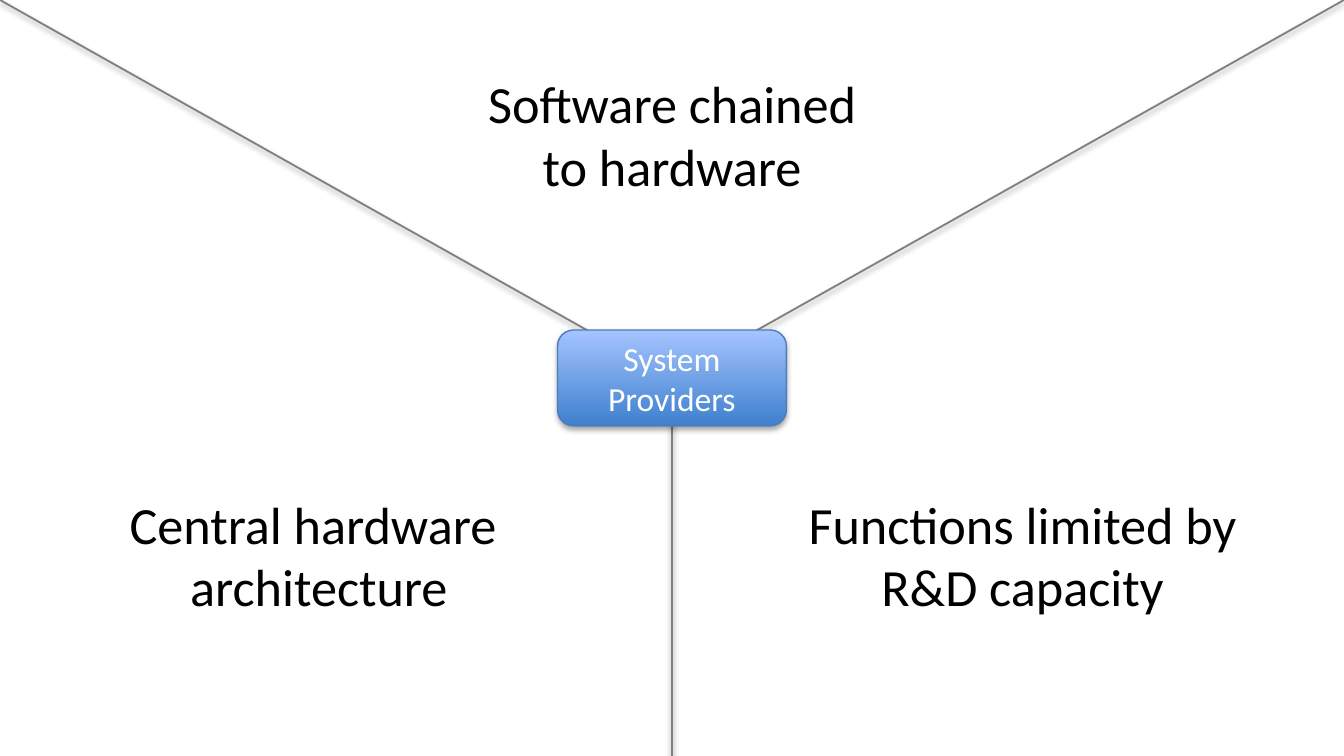
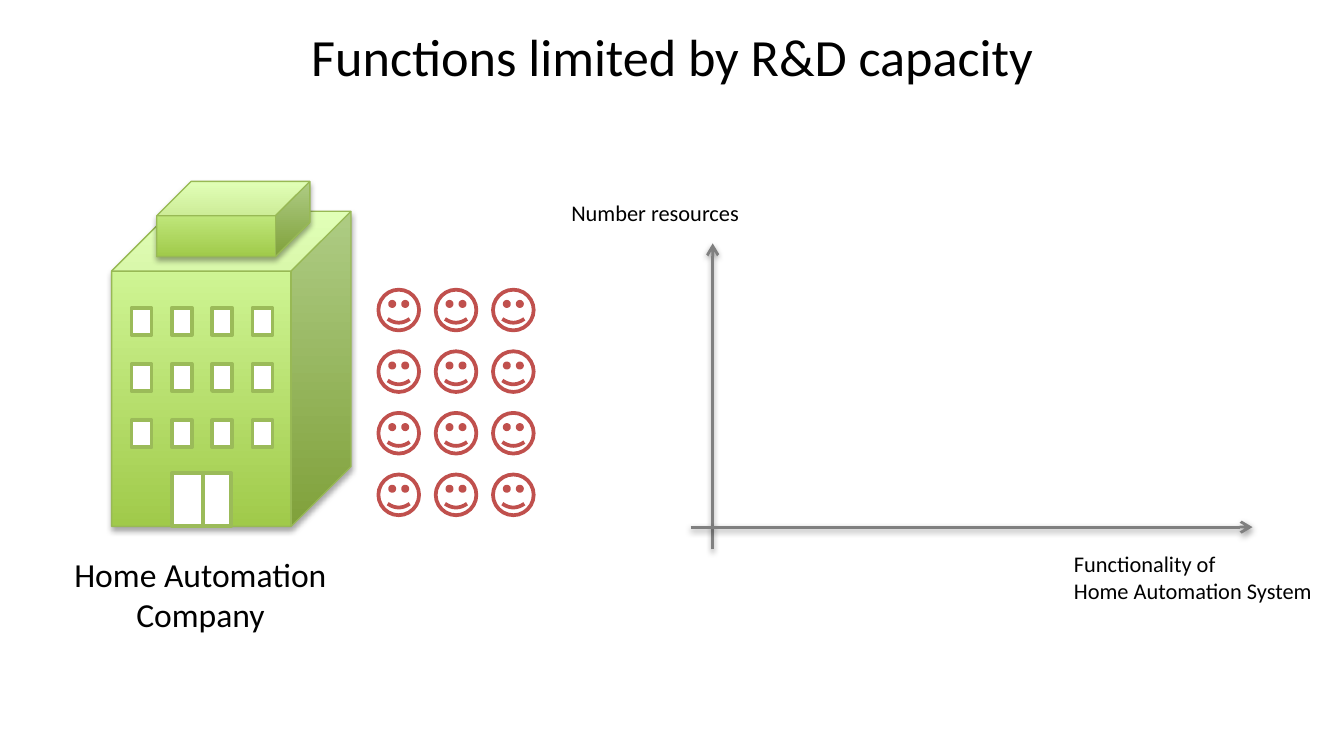
from itertools import product

from lxml import etree
from pptx import Presentation
from pptx import util as u
from pptx.dml.color import RGBColor
from pptx.enum import shapes, text
from pptx.oxml.ns import qn

Pt = u.Pt
WIDTH, HEIGHT = 720, 405
FONT = "Calibri"
COLOURS = {
    "text": "000000",
    "white": "FFFFFF",
    "grey": "808080",
    "blue_dark": "3F80CE",
    "blue_light": "A4C4FF",
    "blue_line": "4B7EBC",
    "green_dark": "A0CA4A",
    "green_light": "DAFFA5",
    "green_line": "98B955",
    "window": "9BBB59",
    "red": "C0504D",
}
GREEN = ("green_dark", "green_light")
CENTER, LEFT = text.PP_ALIGN.CENTER, text.PP_ALIGN.LEFT


def rgb(name):
    """Return a named colour."""
    return RGBColor.from_string(COLOURS[name])


def points(*values):
    """Turn numbers into point lengths."""
    return [Pt(value) for value in values]


def add_shadow(shape, opacity, distance):
    """Give a shape or connector a soft shadow straight below it."""
    properties = shape.element.spPr
    effects = properties.find(qn("a:effectLst"))
    if effects is None:
        effects = etree.SubElement(properties, qn("a:effectLst"))
    shadow = etree.SubElement(
        effects, qn("a:outerShdw"), blurRad=str(Pt(3.1)), dist=str(Pt(distance)),
        dir="5400000", rotWithShape="0")
    colour = etree.SubElement(shadow, qn("a:srgbClr"), val=COLOURS["text"])
    etree.SubElement(colour, qn("a:alpha"), val=str(opacity * 1000))


def add_shape(parent, kind, box, line, weight, gradient=None):
    """Add a white shape, or a shaded one with a vertical gradient."""
    shape = parent.add_shape(kind, *points(*box))
    shape.shadow.inherit = False
    shape.line.color.rgb = rgb(line)
    shape.line.width = Pt(weight)
    if gradient:
        shape.fill.gradient()
        shape.fill.gradient_angle = 90
        for stop, name in zip(shape.fill.gradient_stops, gradient):
            stop.color.rgb = rgb(name)
        add_shadow(shape, 35, 1.8)
    else:
        shape.fill.solid()
        shape.fill.fore_color.rgb = rgb("white")
    return shape


def add_line(slide, start, end, weight, arrow=False):
    """Draw a grey shadowed line, with an arrowhead at its end if asked."""
    line = slide.shapes.add_connector(
        shapes.MSO_CONNECTOR.STRAIGHT, *points(*start, *end))
    line.line.color.rgb = rgb("grey")
    line.line.width = Pt(weight)
    if arrow:
        etree.SubElement(line.element.spPr.find(qn("a:ln")), qn("a:tailEnd"), type="arrow")
    add_shadow(line, 38, 1.6)


def write(shape, content, size, colour="text", align=CENTER):
    """Write one formatted paragraph for each line of content."""
    shape.text_frame.text = content
    for paragraph in shape.text_frame.paragraphs:
        paragraph.alignment = align
        paragraph.font.name = FONT
        paragraph.font.size = Pt(size)
        paragraph.font.color.rgb = rgb(colour)


def add_label(slide, box, content, size, align=CENTER, wrap=False):
    """Add a text box."""
    label = slide.shapes.add_textbox(*points(*box))
    label.text_frame.word_wrap = wrap
    label.text_frame.auto_size = text.MSO_AUTO_SIZE.SHAPE_TO_FIT_TEXT
    write(label, content, size, align=align)


def add_title(slide, content):
    """Place the title across the top of the slide."""
    title = slide.shapes.title
    title.left, title.top, title.width, title.height = points(0, 9.4, WIDTH, 41)
    title.text_frame.vertical_anchor = text.MSO_ANCHOR.TOP
    title.text_frame.auto_size = text.MSO_AUTO_SIZE.NONE
    write(title, content, 28)


def draw_hub(slide, box):
    """Divide the box into three sectors around a central label."""
    left, top, width, height = box
    middle_x, middle_y = left + width / 2, top + height / 2
    for end in ((left + width, top), (left, top), (middle_x, top + height)):
        add_line(slide, (middle_x, middle_y), end, 1)
    hub_width, hub_height = 122.6, 51.4
    hub = add_shape(
        slide.shapes, shapes.MSO_SHAPE.ROUNDED_RECTANGLE,
        (middle_x - hub_width / 2, middle_y - hub_height / 2, hub_width, hub_height),
        "blue_line", 0.75, ("blue_dark", "blue_light"))
    hub.text_frame.vertical_anchor = text.MSO_ANCHOR.MIDDLE
    write(hub, "System\nProviders", 18, "white")
    add_label(slide, (left + 61, top + 260, 219.6, 75), "Central hardware \narchitecture", 28)
    add_label(slide, (middle_x - 107.3, top + 34.6, 214.6, 75), "Software chained\nto hardware", 28)
    add_label(slide, (left + 399, top + 260, 297.4, 75),
              "Functions limited by R&D capacity", 28, wrap=True)


def draw_building(slide, box):
    """Draw an office block with a roof box, windows and a double door."""
    left, top, width, height = box
    parts = slide.shapes.add_group_shape().shapes
    add_shape(parts, shapes.MSO_SHAPE.CUBE, (left, top + 16, width, height - 16),
              "green_line", 0.75, GREEN)
    roof = add_shape(parts, shapes.MSO_SHAPE.CUBE, (left + 24.2, top, 82, 40.3),
                     "green_line", 0.75, GREEN)
    roof.adjustments[0] = 0.457
    for row, column in product(range(3), range(4)):
        window = (left + 10.6 + 21.6 * column, top + 67.8 + 30.1 * row, 10.8, 14.4)
        add_shape(parts, shapes.MSO_SHAPE.RECTANGLE, window, "window", 2)
    for offset, door_width in ((32.4, 16.6), (49, 15.1)):
        door = (left + offset, top + height - 28.5, door_width, 28.5)
        add_shape(parts, shapes.MSO_SHAPE.RECTANGLE, door, "window", 2)


def draw_staff(slide, box, rows=4, columns=3, size=21.8):
    """Fill the box with evenly spaced faces, grouped by row."""
    left, top, width, height = box
    step_x = (width - size) / (columns - 1)
    step_y = (height - size) / (rows - 1)
    for row in range(rows):
        faces = slide.shapes.add_group_shape().shapes
        for column in range(columns):
            face = (left + step_x * column, top + step_y * row, size, size)
            add_shape(faces, shapes.MSO_SHAPE.SMILEY_FACE, face, "red", 2)


def draw_axes(slide, box):
    """Draw two crossing arrows with their axis labels."""
    left, top, width, height = box
    origin_x, origin_y = left + 11.8, top + height - 12
    add_label(slide, (left - 71, top - 27.2, 105, 21.8), "Number resources", 12, LEFT)
    add_label(slide, (left + 198.2, origin_y + 8.6, 142.6, 36.3),
              "Functionality of\nHome Automation System", 12, LEFT)
    add_line(slide, (origin_x, top + height), (origin_x, top), 1.5, True)
    add_line(slide, (left, origin_y), (left + width, origin_y), 1.5, True)


def build_overview(presentation):
    """Add the slide with the three system provider issues."""
    slide = presentation.slides.add_slide(presentation.slide_layouts[6])
    draw_hub(slide, (0, 0, WIDTH, HEIGHT))


def build_capacity(presentation):
    """Add the slide comparing staff with system functionality."""
    slide = presentation.slides.add_slide(presentation.slide_layouts[5])
    add_title(slide, "Functions limited by R&D capacity")
    draw_building(slide, (59.8, 97.2, 128.2, 184.8))
    add_label(slide, (31.7, 293, 155.5, 51), "Home Automation \nCompany ", 18)
    draw_staff(slide, (202.7, 155.2, 83.2, 120.8))
    draw_axes(slide, (370, 130.4, 301, 164))


def main():
    """Build and save the presentation."""
    presentation = Presentation()
    presentation.slide_width, presentation.slide_height = points(WIDTH, HEIGHT)
    build_overview(presentation)
    build_capacity(presentation)
    presentation.save("out.pptx")


if __name__ == "__main__":
    main()
